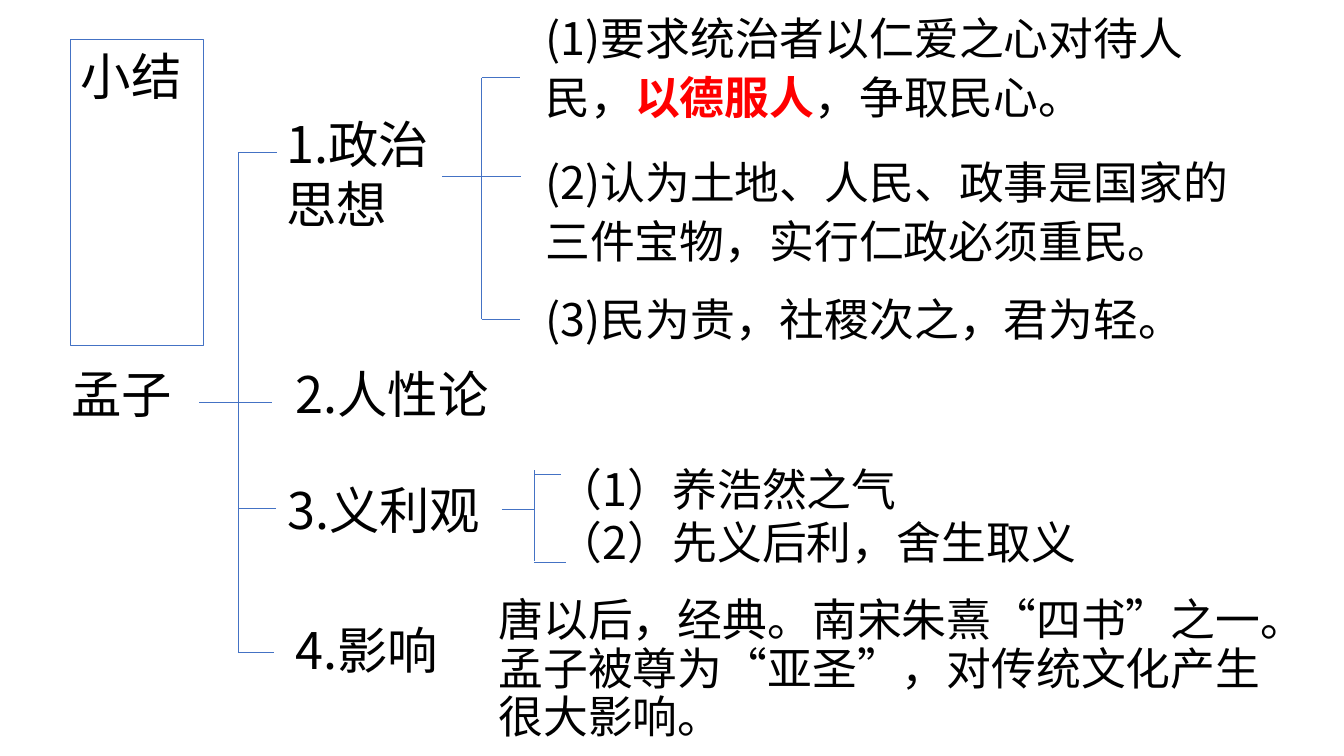
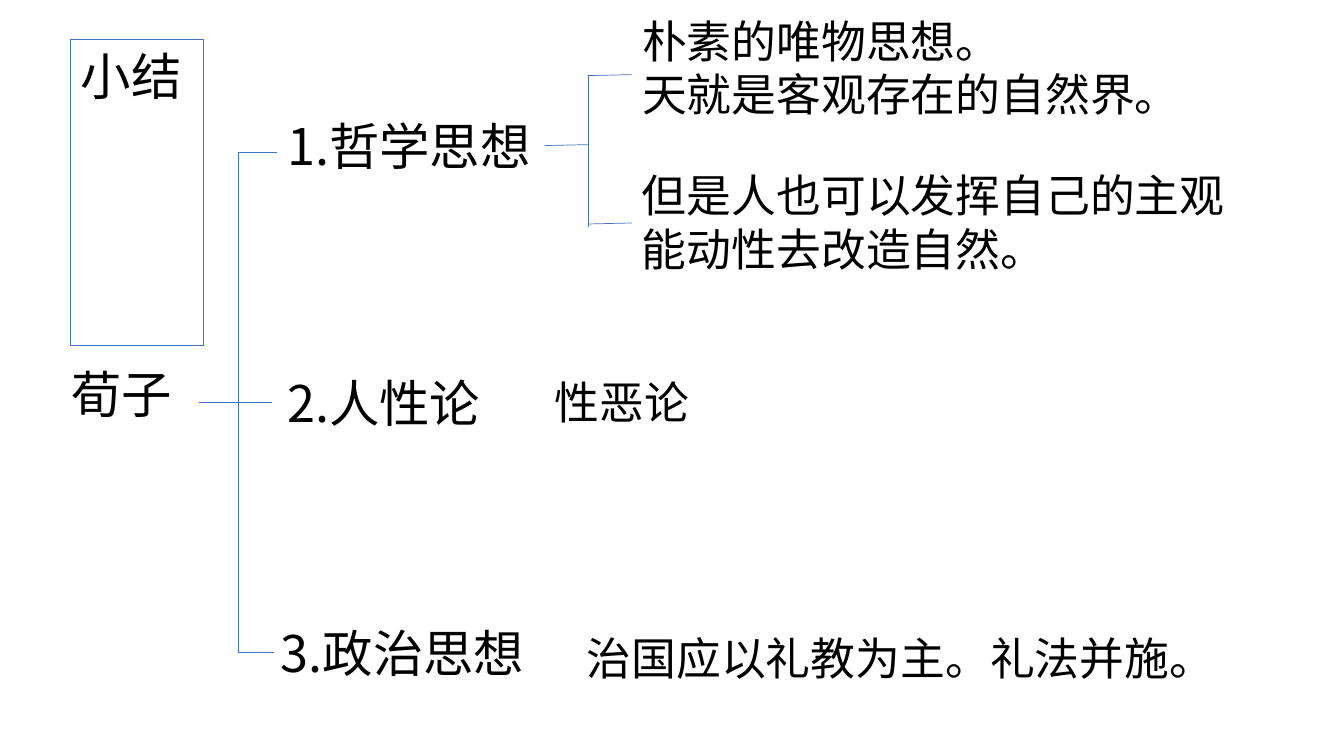
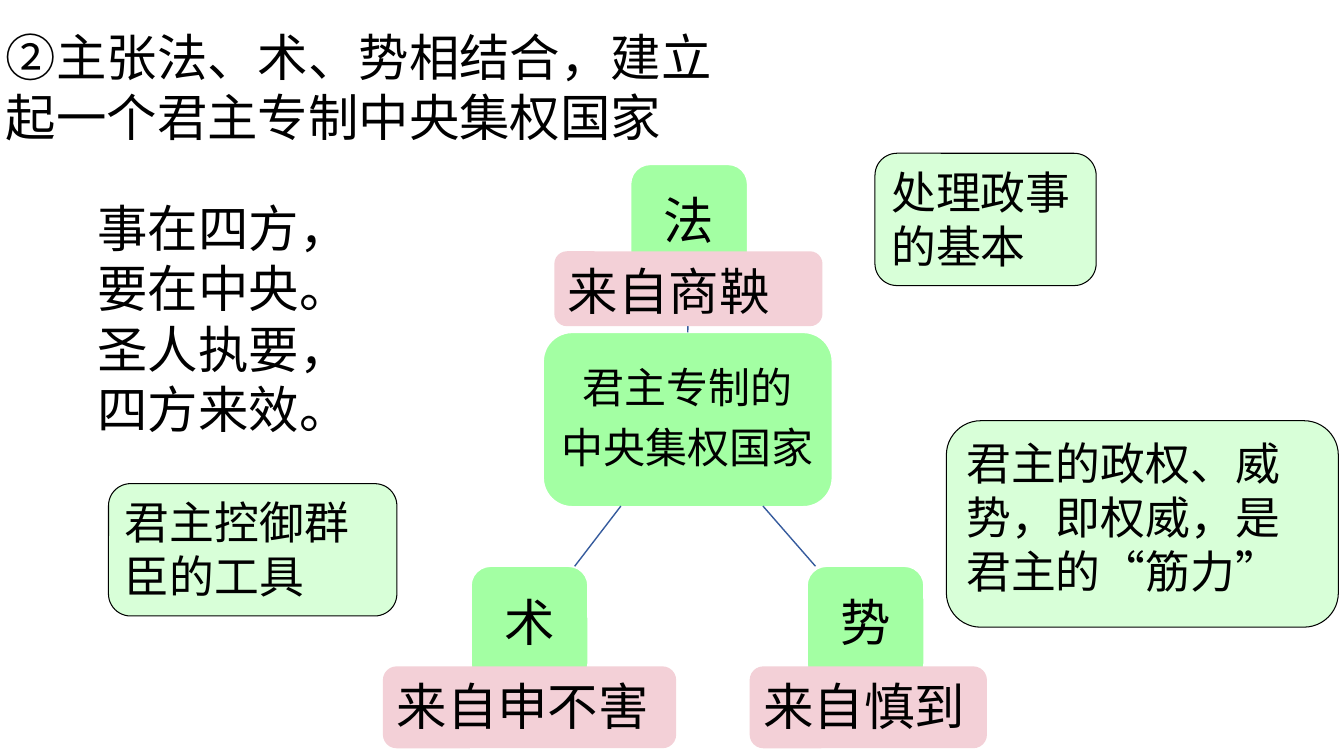
"""Builds three summary slides on Mencius, Xunzi and Legalist thought."""
from dataclasses import dataclass
from typing import Optional

from lxml.etree import SubElement
from pptx import Presentation
from pptx.dml.color import RGBColor
from pptx.enum.lang import MSO_LANGUAGE_ID
from pptx.enum.shapes import MSO_CONNECTOR, MSO_SHAPE
from pptx.enum.text import MSO_ANCHOR, MSO_AUTO_SIZE, PP_ALIGN
from pptx.oxml.ns import qn
from pptx.util import Pt

BLACK = RGBColor(0x00, 0x00, 0x00)
WHITE = RGBColor(0xFF, 0xFF, 0xFF)
RED = RGBColor(0xFF, 0x00, 0x00)
BLUE = RGBColor(0x44, 0x72, 0xC4)
DARK_BLUE = RGBColor(0x36, 0x5B, 0x9D)
GREEN = RGBColor(0xA3, 0xFF, 0xA3)
PALE_GREEN = RGBColor(0xD8, 0xFF, 0xD8)
PINK = RGBColor(0xF3, 0xD0, 0xD7)
SC = "Noto Sans CJK SC"
JP = "Noto Sans CJK JP"


@dataclass(frozen=True)
class Run:
    text: str
    font: str = SC
    color: RGBColor = BLACK
    bold: bool = False


@dataclass(frozen=True)
class Style:
    size: float = 36
    spacing: float = 1.0
    after: float = 0
    align: PP_ALIGN = PP_ALIGN.LEFT
    anchor: MSO_ANCHOR = MSO_ANCHOR.TOP
    margin: Optional[float] = None
    grow: bool = True


@dataclass(frozen=True)
class Look:
    fill: Optional[RGBColor]
    line: Optional[RGBColor]
    width: float
    text: Style


@dataclass(frozen=True)
class Box:
    left: float
    top: float
    width: float
    height: float
    paras: tuple[tuple[Run, ...], ...]
    style: Style = Style()


@dataclass(frozen=True)
class Bracket:
    x: float
    top: float
    bottom: float
    stem: tuple[float, float, float]
    ticks: tuple[tuple[float, float], ...]
    rise: float = 0


HEAD = Style()
BODY = Style(32)
LOOSE = Style(32, 1.1)
NODE = Style(36, 0.9, 12.6, PP_ALIGN.CENTER, MSO_ANCHOR.MIDDLE, 7.2, False)
HUB = Style(30, 0.9, 10.5, PP_ALIGN.CENTER, MSO_ANCHOR.MIDDLE, 6, False)
NODE_LOOK = Look(GREEN, WHITE, 1, NODE)
HUB_LOOK = Look(GREEN, WHITE, 1, HUB)
TAG_LOOK = Look(PINK, None, 0, Style(36, grow=False))
NOTE_LOOK = Look(PALE_GREEN, BLACK, 0.75, Style(32, grow=False))


def plain(*texts: str, font: str = SC) -> tuple[tuple[Run, ...], ...]:
    return tuple((Run(t, font),) for t in texts)


def write(shape, paras: tuple[tuple[Run, ...], ...], style: Style) -> None:
    tf = shape.text_frame
    tf.word_wrap = True
    tf.auto_size = MSO_AUTO_SIZE.SHAPE_TO_FIT_TEXT if style.grow else MSO_AUTO_SIZE.NONE
    tf.vertical_anchor = style.anchor
    if style.margin is not None:
        tf.margin_left = tf.margin_right = Pt(style.margin)
        tf.margin_top = tf.margin_bottom = Pt(style.margin)
    for i, runs in enumerate(paras):
        p = tf.add_paragraph() if i else tf.paragraphs[0]
        p.alignment = style.align
        p.line_spacing = style.spacing
        p.space_after = Pt(style.after)
        for run in runs:
            r = p.add_run()
            r.text = run.text
            f = r.font
            f.size = Pt(style.size)
            f.bold = run.bold
            f.color.rgb = run.color
            f.language_id = MSO_LANGUAGE_ID.SIMPLIFIED_CHINESE
            f.name = run.font
            east_asian = JP if run.font == JP else SC
            SubElement(r._r.get_or_add_rPr(), qn("a:ea"), typeface=east_asian)


def add_text(s, box: Box) -> None:
    sp = s.shapes.add_textbox(Pt(box.left), Pt(box.top), Pt(box.width), Pt(box.height))
    write(sp, box.paras, box.style)


def add_title(s, box: Box, framed: bool) -> None:
    sp = s.shapes.title
    sp.left, sp.top = Pt(box.left), Pt(box.top)
    sp.width, sp.height = Pt(box.width), Pt(box.height)
    if framed:
        sp.line.color.rgb = BLUE
        sp.line.width = Pt(0.75)
    write(sp, box.paras, box.style)


def add_round(s, box: Box, look: Look):
    sp = s.shapes.add_shape(MSO_SHAPE.ROUNDED_RECTANGLE, Pt(box.left), Pt(box.top),
                            Pt(box.width), Pt(box.height))
    sp.shadow.inherit = False
    sp.fill.solid()
    sp.fill.fore_color.rgb = look.fill
    if look.line is None:
        sp.line.fill.background()
    else:
        sp.line.color.rgb = look.line
        sp.line.width = Pt(look.width)
    write(sp, box.paras, look.text)
    return sp


def add_line(s, x1: float, y1: float, x2: float, y2: float,
             color: RGBColor = BLUE, width: float = 0.5):
    c = s.shapes.add_connector(MSO_CONNECTOR.STRAIGHT, Pt(x1), Pt(y1), Pt(x2), Pt(y2))
    c.line.color.rgb = color
    c.line.width = Pt(width)
    SubElement(c._element.spPr, qn("a:effectLst"))
    return c


def add_bracket(s, b: Bracket) -> None:
    start, end, y = b.stem
    add_line(s, start, y, end, y - b.rise)
    add_line(s, b.x, b.top, b.x, b.bottom)
    for tick_end, tick_y in b.ticks:
        add_line(s, b.x, tick_y, tick_end, tick_y - b.rise)


def new_slide(prs):
    return prs.slides.add_slide(prs.slide_layouts[5])


def add_summary(prs, thinker: str, brackets: list[Bracket], boxes: list[Box]) -> None:
    s = new_slide(prs)
    add_title(s, Box(50.5, 28.5, 95, 51, plain("小结")), True)
    add_text(s, Box(44, 256, 124.5, 51, plain(thinker)))
    for b in brackets:
        add_bracket(s, b)
    for box in boxes:
        add_text(s, box)


def trunk(*extra: tuple[float, float]) -> Bracket:
    ticks = ((198, 109), (194, 287.5), *extra, (196, 466))
    return Bracket(170, 109, 466, (142.5, 170.5, 287.5), ticks)


def add_mencius(prs) -> None:
    politics = Bracket(344, 55.5, 228, (316, 372, 126), ((371.5, 55.5), (371.5, 228)))
    virtue = Bracket(381.5, 336, 400.5, (358.5, 381.5, 363.5), ((401, 338.5), (404, 402)))
    rule_by_virtue = ((Run("(1)要求统治者以仁爱之心对待人民，"),
                       Run("以德服人", JP, RED, True), Run("，争取民心。")),)
    add_summary(prs, "孟子", [trunk((197, 363)), politics, virtue], [
        Box(197.5, 77, 126.5, 94.5, plain("1.政治思想")),
        Box(382.5, 0.5, 497.5, 92, rule_by_virtue, LOOSE),
        Box(382.5, 103, 534, 92,
            plain("(2)认为土地、人民、政事是国家的三件宝物，实行仁政必须重民。"), LOOSE),
        Box(382.5, 205, 497.5, 46, plain("(3)民为贵，社稷次之，君为轻。"), BODY),
        Box(204, 256, 239, 51, plain("2.人性论")),
        Box(198, 338.5, 239, 51, plain("3.义利观")),
        Box(204, 438.5, 139.5, 51, plain("4.影响")),
        Box(349, 423.5, 564, 111.5,
            plain("唐以后，经典。南宋朱熹“四书”之一。",
                  "孟子被尊为“亚圣”，对传统文化产生很大影响。"), Style(32, 0.9)),
        Box(391.5, 326, 479, 85,
            plain("（1）养浩然之气", "（2）先义后利，舍生取义"), BODY),
    ])


def add_xunzi(prs) -> None:
    nature = Bracket(420, 53.5, 162, (389, 420.5, 104), ((451.5, 54), (451.5, 160)), 0.7)
    add_summary(prs, "荀子", [trunk(), nature], [
        Box(198, 79, 239, 51, plain("1.哲学思想")),
        Box(451.5, 6, 434, 85,
            plain("朴素的唯物思想。", "天就是客观存在的自然界。"), BODY),
        Box(451.5, 116.5, 446.5, 85,
            plain("但是人也可以发挥自己的主观能动性去改造自然。"), BODY),
        Box(198, 262, 197.5, 51, plain("2.人性论")),
        Box(389, 264, 156, 46, plain("性恶论"), BODY),
        Box(412, 439, 492, 54, plain("治国应以礼教为主。礼法并施。"), Style(32, 1.2)),
        Box(193.5, 440.5, 239, 51, plain("3.政治思想")),
    ])


def add_legalism(prs) -> None:
    s = new_slide(prs)
    add_title(s, Box(-3, 15, 533, 94.5,
                     plain("②主张法、术、势相结合，建立起一个君主专制中央集权国家")), False)
    hub = add_round(s, Box(388, 237.5, 206.5, 124.5,
                           plain("君主专制的", "中央集权国家", font="Arial")), HUB_LOOK)
    law, _, _ = [add_round(s, Box(left, top, 83.5, 83.5, plain(name)), NODE_LOOK)
                 for name, left, top in (("法", 450.5, 117.5), ("势", 576.5, 404.5),
                                         ("术", 336.5, 404.5))]
    spoke = add_line(s, 491.5, 237.5, 492.5, 201, DARK_BLUE, 1)
    spoke.begin_connect(hub, 0)
    spoke.end_connect(law, 2)
    for start, end in ((545, 582.5), (443.5, 410.5)):
        add_line(s, start, 361.5, end, 404.5, DARK_BLUE, 1)
    for look, box in (
        (NOTE_LOOK, Box(625, 109.5, 158, 94.5, plain("处理政事的基本"))),
        (TAG_LOOK, Box(396, 179.5, 191.5, 53.5, plain("来自商鞅"))),
        (TAG_LOOK, Box(273.5, 476, 209.5, 58.5, plain("来自申不害"))),
        (NOTE_LOOK, Box(77.5, 345.5, 206, 94.5, plain("君主控御群臣的工具"))),
        (TAG_LOOK, Box(535.5, 476, 169.5, 58.5, plain("来自慎到"))),
        (NOTE_LOOK, Box(676, 300.5, 280, 147.5,
                        plain("君主的政权、威势，即权威，是君主的“筋力”"))),
    ):
        add_round(s, box, look)
    add_text(s, Box(62.5, 137, 192, 181.5,
                    plain("事在四方，要在中央。圣人执要，四方来效。"), HEAD))


def main() -> None:
    prs = Presentation()
    prs.slide_width, prs.slide_height = Pt(960), Pt(540)
    add_mencius(prs)
    add_xunzi(prs)
    add_legalism(prs)
    prs.save("out.pptx")


if __name__ == "__main__":
    main()
